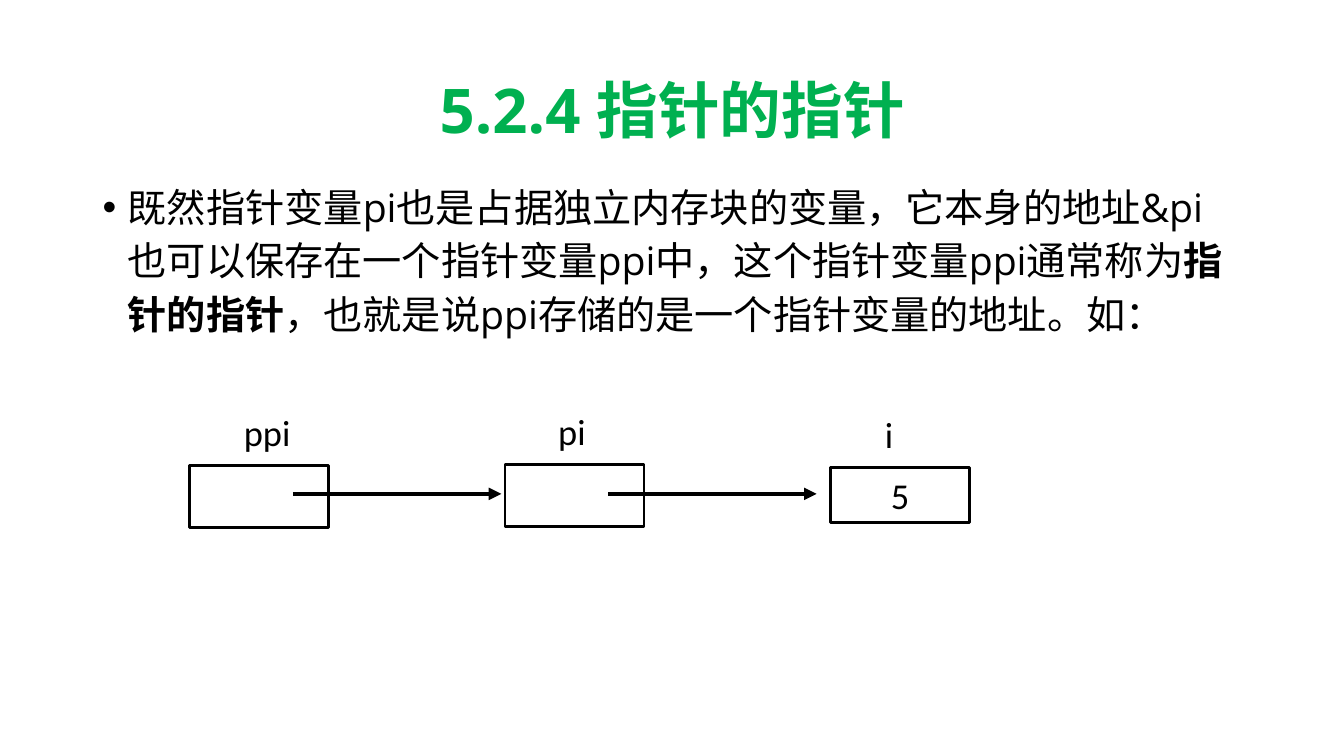
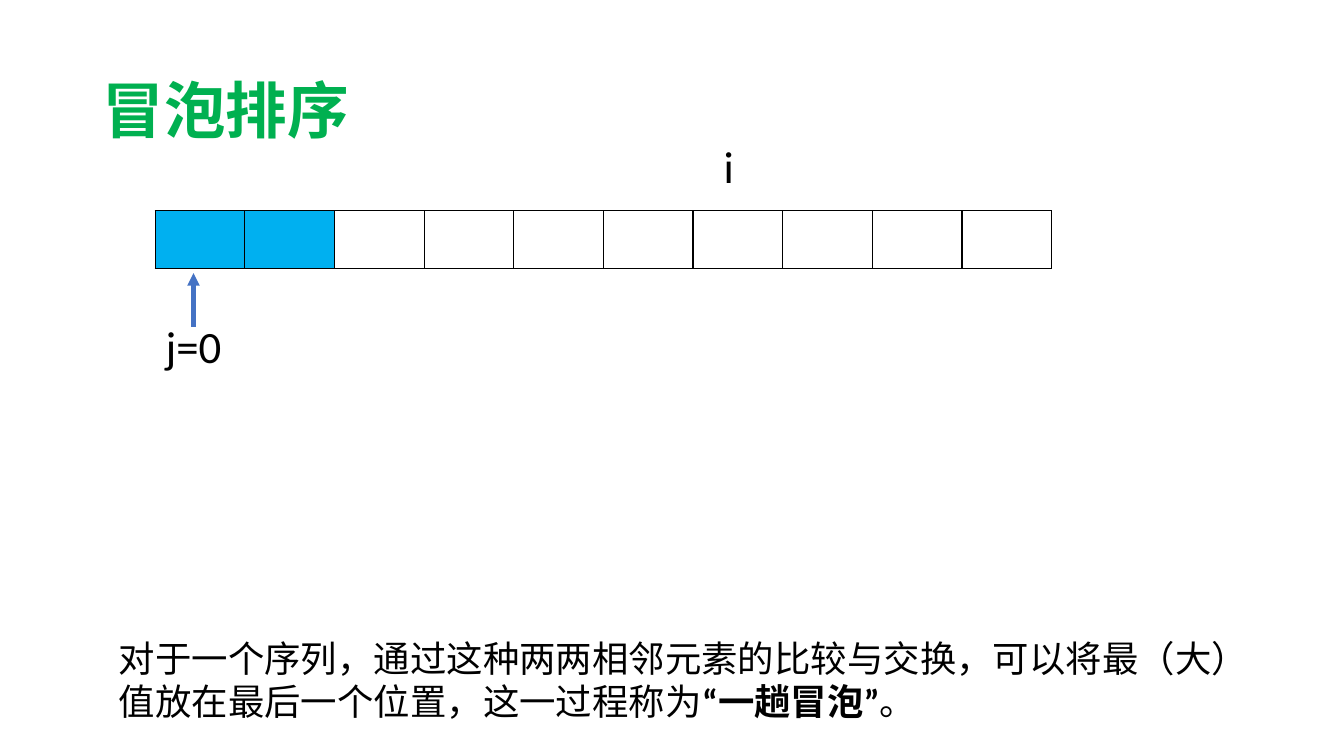
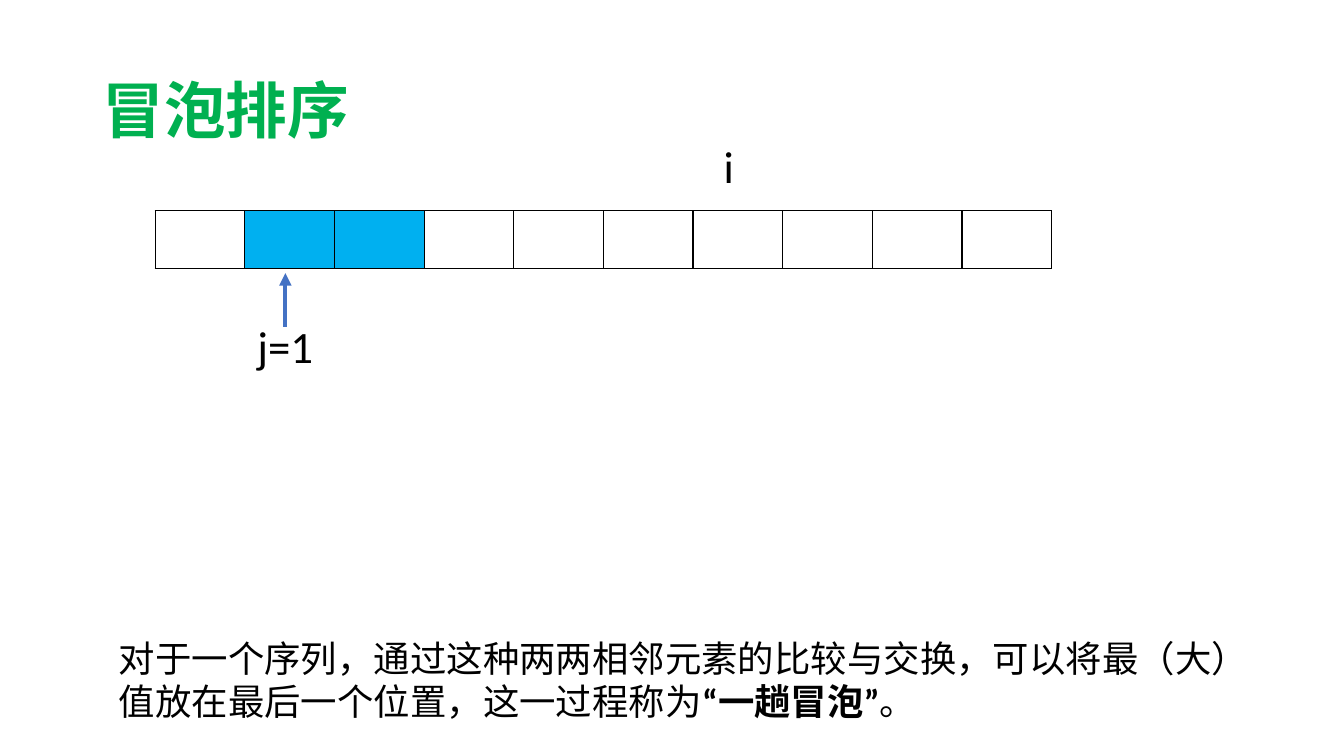
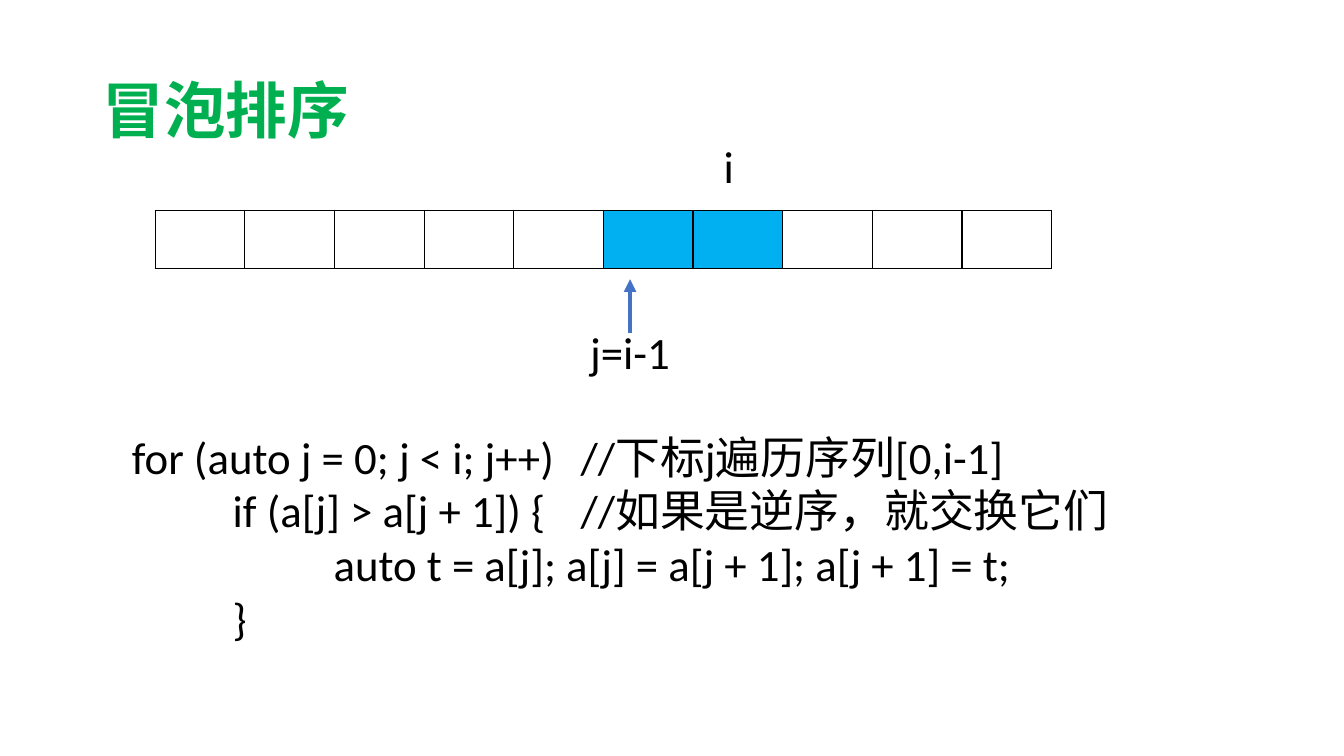
from dataclasses import dataclass
from typing import Any

from lxml.etree import SubElement as Sub
from pptx import Presentation
from pptx.dml.color import RGBColor as Rgb
from pptx.enum.shapes import MSO_CONNECTOR as Link, MSO_SHAPE as Kind
from pptx.enum.text import MSO_ANCHOR as Anchor, PP_ALIGN as Align
from pptx.oxml.ns import qn
from pptx.util import Inches, Length, Pt

WIDE, HIGH = 13.33, 7.5
HUES = {"title": "00B050", "ink": "000000", "mark": "00B0F0", "arrow": "4472C4"}
CELLS = 10
TABS = (1, 2, 4.45)  # inches: two code levels, then the comments


@dataclass(frozen=True)
class Box:
    """A frame in percent of the slide's width (x, w) and height (y, h)."""
    x: float
    y: float
    w: float
    h: float

    def emu(self) -> tuple[Length, ...]:
        return across(self.x), down(self.y), across(self.w), down(self.h)


@dataclass(frozen=True)
class Node:
    name: str
    label: Box
    frame: Box
    value: str = ""
    points: bool = True


@dataclass(frozen=True)
class Step:
    """One state of the sort: first marked cell, pointer text and place."""
    first: int
    label: str
    mid: float
    drop: float = 0


HEAD = Box(6.9, 5.33, 86.25, 19.33)
BODY = Box(6.9, 22.67, 86.25, 31.07)
NOTE = Box(8.1, 83.47, 87.75, 13.07)
CODE = Box(9.08, 56.13, 81.9, 35.87)
ROW = Box(11.55, 27.87, 66.7, 7.6)
INDEX = Box(51.97, 17.73, 4.5, 8.53)

NODES = (
    Node("ppi", Box(17.4, 53.6, 6.3, 7.2), Box(14.1, 61.6, 10.35, 8.13)),
    Node("pi", Box(40.8, 53.47, 4, 7.47), Box(37.57, 61.47, 10.35, 8.13)),
    Node("i", Box(65.1, 53.87, 4, 7.47), Box(61.8, 61.87, 10.35, 7.2), "5", False),
)
STEPS = (Step(0, "j=0", 14.4), Step(1, "j=1", 21.23), Step(5, "j=i-1", 46.88, 0.8))

# A paragraph is a list of (text, bold) runs.
INTRO = [[
    ("既然指针变量pi也是占据独立内存块的变量，它本身的地址&pi也可以保存在"
     "一个指针变量ppi中，这个指针变量ppi通常称为", False),
    ("指针的指针", True),
    ("，也就是说ppi存储的是一个指针变量的地址。如：", False),
]]
PASS = [[
    ("对于一个序列，通过这种两两相邻元素的比较与交换，可以将最（大）"
     "值放在最后一个位置，这一过程称为", False),
    ("“一趟冒泡”", True),
    ("。", False),
]]
LOOP = [[(line, False)] for line in (
    "for (auto j = 0; j < i; j++)\t//下标j遍历序列[0,i-1]",
    "\tif (a[j] > a[j + 1]) {\t//如果是逆序，就交换它们",
    "\t\tauto t = a[j]; a[j] = a[j + 1]; a[j + 1] = t;",
    "\t}",
)]


def across(share: float) -> Length:
    return Inches(WIDE * share / 100)


def down(share: float) -> Length:
    return Inches(HIGH * share / 100)


def color(name: str) -> Rgb:
    return Rgb.from_string(HUES[name])


def write(shape: Any, text: Any, size: float = 26, font: str = "Calibri",
          hue: str = "ink", bold: bool = False, align: Align = Align.LEFT,
          anchor: Anchor = Anchor.TOP, lead: float = 1, before: float = 0,
          bullet: bool = False, tabs: tuple[float, ...] = ()) -> None:
    """Fill a shape with a string, or with paragraphs of (text, bold) runs."""
    frame = shape.text_frame
    frame.word_wrap = True
    frame.vertical_anchor = anchor
    paras = [[(text, bold)]] if isinstance(text, str) else text
    for num, runs in enumerate(paras):
        para = frame.add_paragraph() if num else frame.paragraphs[0]
        para.alignment, para.line_spacing = align, lead
        para.space_before = Pt(before)
        props = para._p.get_or_add_pPr()
        if bullet:
            props.set("marL", str(Inches(0.25)))
            props.set("indent", str(-Inches(0.25)))
            Sub(props, qn("a:buFont"), typeface="Arial")
            Sub(props, qn("a:buChar"), char="•")
        if tabs:
            stops = Sub(props, qn("a:tabLst"))
            for stop in tabs:
                Sub(stops, qn("a:tab"), pos=str(Inches(stop)), algn="l")
        for words, heavy in runs:
            run = para.add_run()
            run.text = words
            run.font.size, run.font.bold = Pt(size), heavy
            run.font.color.rgb = color(hue)
            run.font.name = font
            mark = run._r.get_or_add_rPr()
            mark.set("lang", "zh-CN")
            Sub(mark, qn("a:ea"), typeface=font)


def label(shapes: Any, box: Box, text: Any, **style: Any) -> None:
    write(shapes.add_textbox(*box.emu()), text, **style)


def arrow(shapes: Any, start: tuple[float, float], end: tuple[float, float],
          hue: str) -> None:
    line = shapes.add_connector(Link.STRAIGHT, across(start[0]), down(start[1]),
                                across(end[0]), down(end[1]))
    line.line.width = Pt(3)
    line.line.color.rgb = color(hue)
    Sub(line.line._get_or_add_ln(), qn("a:tailEnd"), type="triangle")
    Sub(line._element.spPr, qn("a:effectLst"))


def page(deck: Any, title: str, align: Align = Align.LEFT) -> Any:
    """Add a blank slide with the common title and return its shapes."""
    shapes = deck.slides.add_slide(deck.slide_layouts[6]).shapes
    label(shapes, HEAD, title, size=44, font="Noto Sans", hue="title", bold=True,
          align=align, anchor=Anchor.MIDDLE, lead=0.9)
    return shapes


def block(shapes: Any, node: Node) -> None:
    label(shapes, node.label, node.name)
    rect = shapes.add_shape(Kind.RECTANGLE, *node.frame.emu())
    rect.shadow.inherit = False
    rect.fill.background()
    rect.line.color.rgb = color("ink")
    rect.line.width = Pt(2)
    if node.value:
        write(rect, node.value, align=Align.CENTER, anchor=Anchor.MIDDLE)
    if node.points:
        start = node.frame.x + 7.7
        arrow(shapes, (start, 65.33), (start + 15.5, 65.33), "ink")


def edge(cell: Any) -> None:
    """Give a cell thin borders on all sides."""
    props = cell._tc.get_or_add_tcPr()
    for side in "LRTB":
        line = Sub(props, qn(f"a:ln{side}"), w=str(Pt(1)))
        Sub(Sub(line, qn("a:solidFill")), qn("a:srgbClr"), val=HUES["ink"])


def array(shapes: Any, first: int) -> None:
    """Draw the row of cells, with two neighbours marked."""
    grid = shapes.add_table(1, CELLS, *ROW.emu()).table
    grid.first_row = grid.horz_banding = False
    for num, cell in enumerate(grid.iter_cells()):
        grid.columns[num].width = across(ROW.w / CELLS)
        edge(cell)
        if num in (first, first + 1):
            cell.fill.solid()
            cell.fill.fore_color.rgb = color("mark")
        else:
            cell.fill.background()
    label(shapes, INDEX, "i", size=32, align=Align.CENTER)


def cursor(shapes: Any, step: Step) -> None:
    parts = shapes.add_group_shape().shapes
    box = Box(step.mid - 4.16, 41.47 + step.drop, 8.32, 8.53)
    label(parts, box, step.label, size=32, align=Align.CENTER)
    arrow(parts, (step.mid, 43.2 + step.drop), (step.mid, 36.13 + step.drop), "arrow")


def main() -> None:
    deck = Presentation()
    deck.slide_width, deck.slide_height = Inches(WIDE), Inches(HIGH)

    shapes = page(deck, "5.2.4 指针的指针", Align.CENTER)
    label(shapes, BODY, INTRO, size=28, font="Open Sans", lead=1.14, before=10,
          bullet=True)
    for node in NODES:
        block(shapes, node)

    for step in STEPS:
        shapes = page(deck, "冒泡排序")
        array(shapes, step.first)
        cursor(shapes, step)
        if step is STEPS[-1]:
            label(shapes, CODE, LOOP, size=32, tabs=TABS)
        else:
            label(shapes, NOTE, PASS)

    deck.save("out.pptx")


if __name__ == "__main__":
    main()
